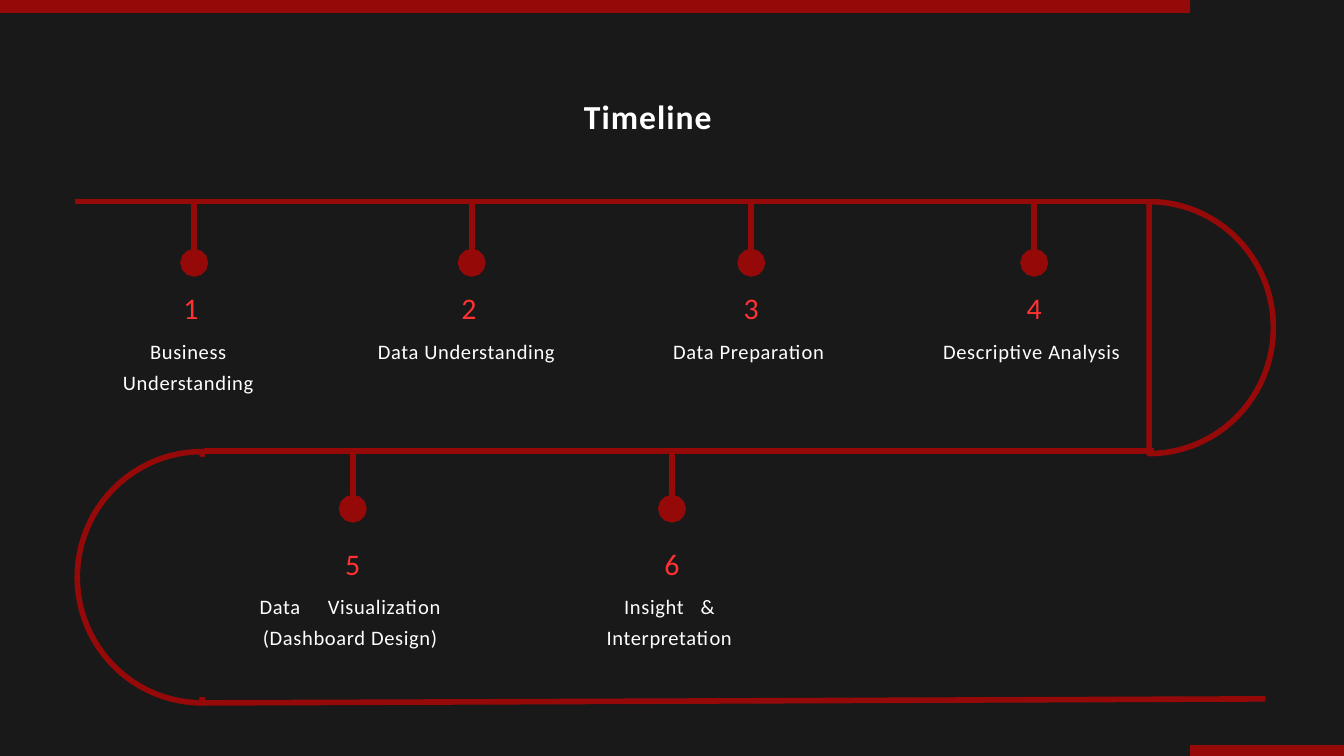
from math import cos, pi, sin

from lxml.etree import SubElement
from pptx import Presentation
from pptx.dml.color import RGBColor
from pptx.enum.shapes import MSO_CONNECTOR, MSO_SHAPE
from pptx.enum.text import MSO_AUTO_SIZE, PP_ALIGN
from pptx.oxml.ns import qn
from pptx.util import Pt

EMU_PER_PX = 9144
BACKGROUND, DARK_RED, BRIGHT_RED, WHITE = "191919", "960909", "FF3131", "FFFFFF"


def px(length):
    return round(length * EMU_PER_PX)


def color(value):
    return RGBColor.from_string(value)


class Canvas:
    font = "Calibri"
    stroke = Pt(6)
    bend_steps = 48

    def __init__(self, slide):
        self.slide = slide
        fill = slide.background.fill
        fill.solid()
        fill.fore_color.rgb = color(BACKGROUND)

    def bar(self, left, top, width, height, fill):
        shape = self.slide.shapes.add_shape(
            MSO_SHAPE.RECTANGLE, px(left), px(top), px(width), px(height))
        shape.shadow.inherit = False
        shape.fill.solid()
        shape.fill.fore_color.rgb = color(fill)
        shape.line.fill.background()

    def bend(self, edge, top, bottom, reach):
        middle, radius = (top + bottom) / 2, (bottom - top) / 2
        angles = [pi * step / self.bend_steps for step in range(self.bend_steps + 1)]
        points = [(px(edge + reach * sin(angle)), px(middle - radius * cos(angle)))
                  for angle in angles]
        builder = self.slide.shapes.build_freeform(*points[0])
        builder.add_line_segments(points[1:], close=True)
        shape = builder.convert_to_shape()
        shape.shadow.inherit = False
        shape.fill.background()
        self.paint_line(shape.line)

    def paint_line(self, line):
        line.color.rgb = color(DARK_RED)
        line.width = self.stroke

    def line(self, x1, y1, x2, y2, dot=False):
        connector = self.slide.shapes.add_connector(
            MSO_CONNECTOR.STRAIGHT, px(x1), px(y1), px(x2), px(y2))
        self.paint_line(connector.line)
        if dot:
            SubElement(connector.line._get_or_add_ln(), qn("a:tailEnd"),
                       type="oval", w="lg", len="lg")
        SubElement(connector._element.spPr, qn("a:effectLst"))

    def text(self, left, top, width, height, lines, size, spacing, leading,
             fill=WHITE, bold=False, align=PP_ALIGN.CENTER):
        box = self.slide.shapes.add_textbox(px(left), px(top), px(width), px(height))
        frame = box.text_frame
        frame.word_wrap = True
        frame.auto_size = MSO_AUTO_SIZE.SHAPE_TO_FIT_TEXT
        frame.margin_left = frame.margin_right = 0
        frame.margin_top = frame.margin_bottom = 0
        for index, runs in enumerate(lines):
            para = frame.add_paragraph() if index else frame.paragraphs[0]
            para.alignment = align
            para.line_spacing = Pt(leading)
            for words, extra in runs:
                span = para.add_run()
                span.text = words
                span.font.name = self.font
                span.font.size = Pt(size)
                span.font.bold = bold
                span.font.color.rgb = color(fill)
                span._r.get_or_add_rPr().set("spc", str(round((spacing + extra) * 100)))

    def step(self, number, stem, rail, center, top, width, lines):
        self.line(stem, rail, stem, rail + 91, dot=True)
        left = center - width / 2
        self.text(left, top, width, 55, [[(str(number), 0)]], 32, 1.6, 41.6, BRIGHT_RED)
        self.text(left, top + 68, width, 85, lines, 22, 0.7, 33)


def plain(*lines):
    return [[(line, 0)] for line in lines]


def main():
    deck = Presentation()
    deck.slide_width, deck.slide_height = px(2000), px(1125)
    page = Canvas(deck.slides.add_slide(deck.slide_layouts[6]))

    page.bend(1710, 300, 675, 185)
    page.line(112, 300, 1711, 300)
    page.bend(301, 672, 1046, -186)
    page.bar(291, 680, 126, 357, BACKGROUND)
    page.line(298, 1046, 1883, 1040)
    page.bar(1771, 1109, 229, 16, DARK_RED)
    page.bar(0, 0, 1771, 19, DARK_RED)
    page.line(303, 671, 1717, 671)

    upper_row = [
        (289, 284, 344, plain("Business ", "Understanding ")),
        (702, 698, 344, plain("Data Understanding ")),
        (1118, 1118, 359, plain("Data Preparation ")),
        (1539, 1539, 344, plain("Descriptive Analysis ")),
    ]
    lower_row = [
        (525, 525, 344, [[("Data", 0), (" ", 23), ("Visualization ", 0)],
                         [("(Dashboard Design) ", 0)]]),
        (1000, 1000, 344, [[("Insight", 0), (" ", 11.5), ("& ", 0)],
                           [("Interpretation ", 0)]]),
    ]
    number = 0
    for rail, top, row in [(300, 427, upper_row), (666, 807, lower_row)]:
        for stem, center, width, lines in row:
            number += 1
            page.step(number, stem, rail, center, top, width, lines)

    page.text(869, 137, 269, 63, plain("Timeline"), 36, 1.1, 46.8,
              bold=True, align=PP_ALIGN.LEFT)
    deck.save("out.pptx")


if __name__ == "__main__":
    main()
